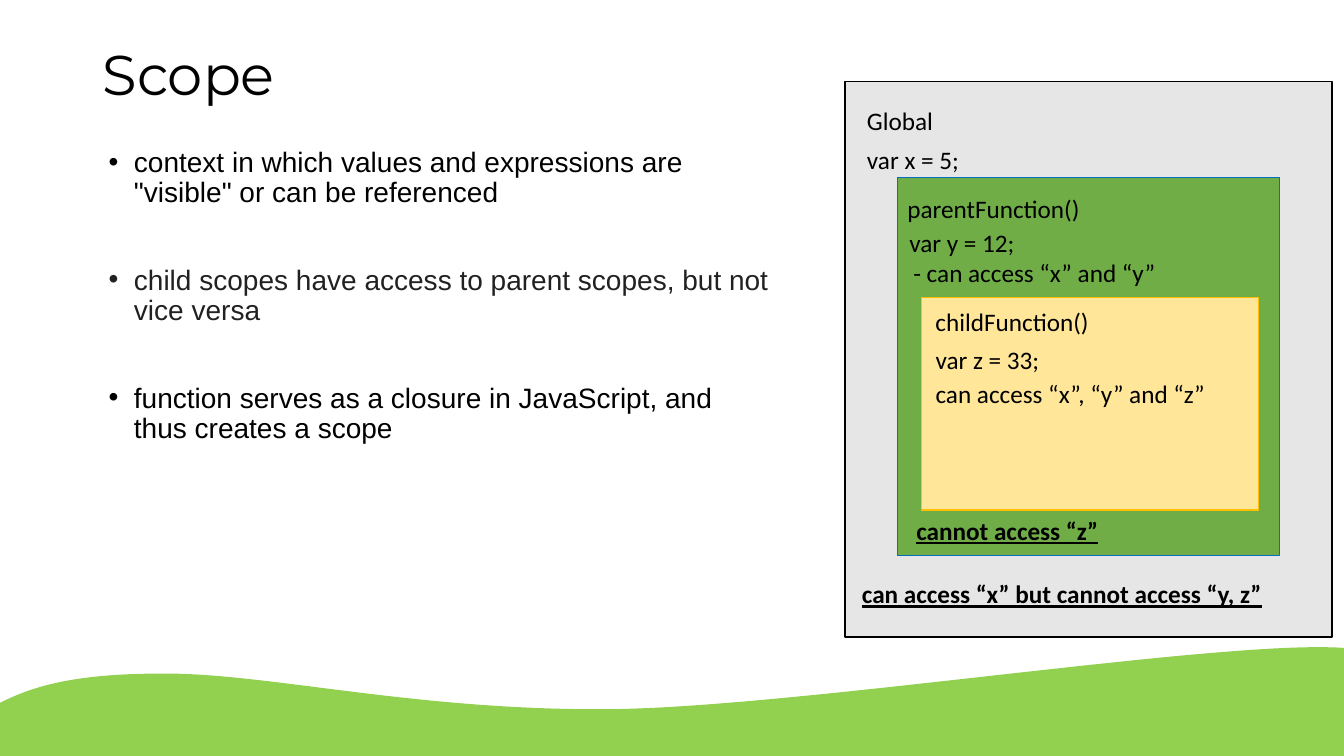
import dataclasses

import lxml.etree
import pptx
import pptx.dml.color
import pptx.enum.shapes
import pptx.enum.text
import pptx.oxml.ns
import pptx.util

WIDTH = pptx.util.Inches(13.33)
HEIGHT = pptx.util.Inches(7.5)
NOTE_HEIGHT = 5.33


@dataclasses.dataclass(frozen=True)
class Theme:
    """Colours, fonts and type sizes in points."""
    ink: str = "000000"
    soft_ink: str = "212121"
    wave: str = "92D050"
    title_font: str = "Montserrat"
    body_font: str = "Arial"
    note_font: str = "Calibri"
    title_size: int = 40
    body_size: int = 20
    note_size: int = 18
    line_width: int = 1
    line_spacing: float = 0.9
    bullet_gap: int = 41
    bullet_indent: float = 0.25


@dataclasses.dataclass(frozen=True)
class Frame:
    """A rectangle in percent of the slide's width and height."""
    left: float
    top: float
    width: float
    height: float

    def emu(self) -> tuple:
        """Return left, top, width and height as lengths."""
        return (across(self.left), down(self.top), across(self.width), down(self.height))


@dataclasses.dataclass(frozen=True)
class Note:
    """A single line of text inside a scope."""
    text: str
    left: float
    top: float
    width: float
    strong: bool = False


@dataclasses.dataclass(frozen=True)
class Scope:
    """A coloured scope box and its notes."""
    frame: Frame
    fill: str
    line: str
    notes: tuple


THEME = Theme()

BULLETS = (
    ('context in which values and expressions are "visible" or can be referenced', THEME.ink),
    ("child scopes have access to parent scopes, but not vice versa", THEME.soft_ink),
    ("function serves as a closure in JavaScript, and thus creates a scope", THEME.ink),
)

SCOPES = (
    Scope(Frame(62.87, 10.8, 36.23, 73.47), "E7E6E6", "000000", (
        Note("Global", 63.77, 13.33, 6.45),
        Note("var x = 5;", 63.77, 18.4, 8.48),
        Note("can access “x” but cannot access “y, z”", 63.39, 75.87, 31.51, True),
    )),
    Scope(Frame(66.77, 23.47, 28.43, 50), "70AD47", "0070C0", (
        Note("parentFunction()", 66.77, 24.93, 14.48),
        Note("var y = 12;", 66.92, 29.47, 9.45),
        Note("- can access “x” and “y”", 67.22, 33.33, 19.73),
        Note("cannot access “z”", 67.44, 67.47, 15.15, True),
    )),
    Scope(Frame(68.57, 39.33, 25.06, 28.13), "FFE699", "FFC000", (
        Note("childFunction()", 68.87, 39.87, 13.05),
        Note("var z = 33;", 68.87, 44.93, 9.3),
        Note("can access “x”, “y” and “z”", 68.87, 49.33, 22.2),
    )),
)

WAVE_START = (0, 93.07)
WAVE_CURVES = (
    ((2.17, 91.2), (5.02, 89.07), (12.75, 89.2)),
    ((20.47, 89.33), (31.95, 94.4), (46.5, 93.87)),
    ((61.05, 93.2), (91.2, 84.67), (100, 85.8)),
)


def across(share: float) -> int:
    """Turn a percentage of the slide's width into a length."""
    return int(WIDTH * share / 100)


def down(share: float) -> int:
    """Turn a percentage of the slide's height into a length."""
    return int(HEIGHT * share / 100)


def curve_points(start: tuple, curve: tuple, steps: int = 40) -> list:
    """Sample a cubic curve, leaving out its start."""
    points = []
    for step in range(1, steps + 1):
        t = step / steps
        weights = ((1 - t) ** 3, 3 * t * (1 - t) ** 2, 3 * t * t * (1 - t), t ** 3)
        corners = (start, *curve)
        points.append(tuple(sum(w * c[axis] for w, c in zip(weights, corners))
                            for axis in (0, 1)))
    return points


def paint(shape, fill: str, line: str) -> None:
    """Give a shape a flat fill and a thin outline."""
    shape.shadow.inherit = False
    shape.fill.solid()
    shape.fill.fore_color.rgb = pptx.dml.color.RGBColor.from_string(fill)
    shape.line.color.rgb = pptx.dml.color.RGBColor.from_string(line)
    shape.line.width = pptx.util.Pt(THEME.line_width)


def style(para, font: str, size: int, color: str, strong: bool = False) -> None:
    """Format every run of a paragraph."""
    for span in para.runs:
        span.font.name = font
        span.font.size = pptx.util.Pt(size)
        span.font.color.rgb = pptx.dml.color.RGBColor.from_string(color)
        if strong:
            span.font.bold = span.font.underline = True


def add_bullet(para) -> None:
    """Set a round bullet with a hanging indent."""
    props = para._p.get_or_add_pPr()
    indent = pptx.util.Inches(THEME.bullet_indent)
    props.set("marL", str(indent))
    props.set("indent", str(-indent))
    qn = pptx.oxml.ns.qn
    lxml.etree.SubElement(props, qn("a:buFont")).set("typeface", "Arial")
    lxml.etree.SubElement(props, qn("a:buChar")).set("char", "•")


def add_wave(page) -> None:
    """Draw the green wave along the foot of the slide."""
    points = [WAVE_START]
    for curve in WAVE_CURVES:
        points += curve_points(points[-1], curve)
    points += [(100, 100), (0, 100)]
    places = [(across(x), down(y)) for x, y in points]
    builder = page.shapes.build_freeform(*places[0])
    builder.add_line_segments(places[1:], close=True)
    paint(builder.convert_to_shape(), THEME.wave, THEME.wave)


def add_title(page, text: str) -> None:
    """Write the slide's heading."""
    box = page.shapes.add_textbox(*Frame(6.9, 3.33, 81.25, 13.73).emu())
    box.text_frame.word_wrap = True
    box.text_frame.vertical_anchor = pptx.enum.text.MSO_ANCHOR.MIDDLE
    box.text_frame.text = text
    para = box.text_frame.paragraphs[0]
    para.line_spacing = THEME.line_spacing
    style(para, THEME.title_font, THEME.title_size, THEME.ink)


def add_bullets(page) -> None:
    """Write the bulleted list, spaced by paragraph gaps."""
    box = page.shapes.add_textbox(*Frame(7.35, 18.93, 50.79, 66.4).emu())
    box.text_frame.word_wrap = True
    box.text_frame.text = "\n".join(text for text, _ in BULLETS)
    for index, (para, (_, color)) in enumerate(zip(box.text_frame.paragraphs, BULLETS)):
        para.line_spacing = THEME.line_spacing
        para.space_before = pptx.util.Pt(THEME.bullet_gap if index else 0)
        add_bullet(para)
        style(para, THEME.body_font, THEME.body_size, color)


def add_scope(page, scope: Scope) -> None:
    """Draw a scope box and write its notes."""
    kind = pptx.enum.shapes.MSO_SHAPE.RECTANGLE
    paint(page.shapes.add_shape(kind, *scope.frame.emu()), scope.fill, scope.line)
    for note in scope.notes:
        frame = Frame(note.left, note.top, note.width, NOTE_HEIGHT)
        box = page.shapes.add_textbox(*frame.emu())
        box.text_frame.word_wrap = False
        box.text_frame.auto_size = pptx.enum.text.MSO_AUTO_SIZE.SHAPE_TO_FIT_TEXT
        box.text_frame.text = note.text
        style(box.text_frame.paragraphs[0], THEME.note_font, THEME.note_size,
              THEME.ink, note.strong)


deck = pptx.Presentation()
deck.slide_width, deck.slide_height = WIDTH, HEIGHT
page = deck.slides.add_slide(deck.slide_layouts[6])
add_wave(page)
add_title(page, "Scope")
add_bullets(page)
for scope in SCOPES:
    add_scope(page, scope)
deck.save("out.pptx")
